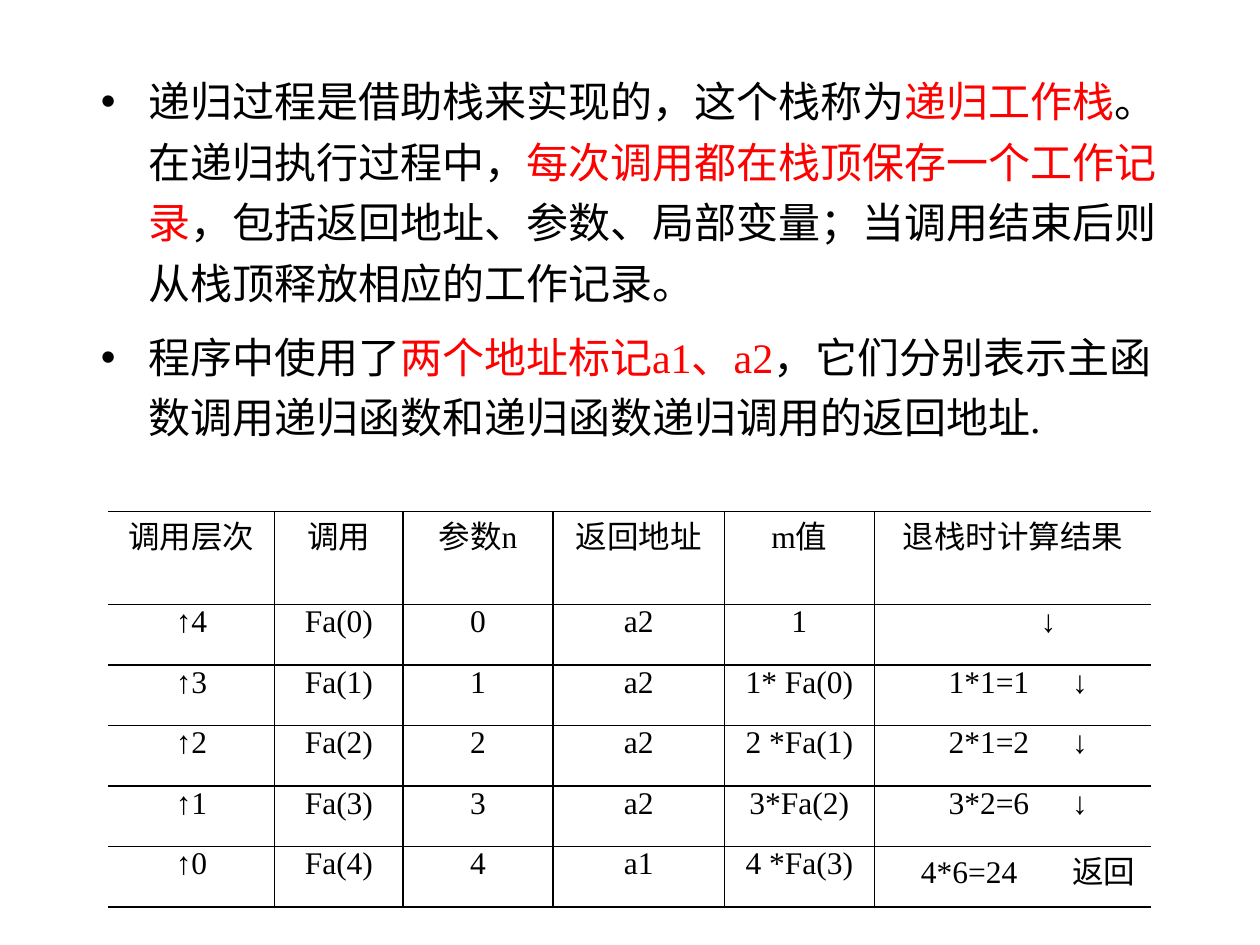
import pptx
import pptx.util
import pptx.dml.color
import pptx.enum.text
import pptx.oxml
import pptx.oxml.ns
import lxml.etree

Inches = pptx.util.Inches
Pt = pptx.util.Pt
ALIGN = pptx.enum.text.PP_ALIGN
FONT = "Times New Roman"
BLACK, RED = "000000", "FF0000"

POINTS = [
    [("递归过程是借助栈来实现的，这个栈称为", BLACK),
     ("递归工作栈", RED),
     ("。在递归执行过程中，", BLACK),
     ("每次调用都在栈顶保存一个工作记录", RED),
     ("，包括返回地址、参数、局部变量；当调用结束后则从栈顶释放相应的工作记录。", BLACK)],
    [("程序中使用了", BLACK),
     ("两个地址标记a1、a2", RED),
     ("，它们分别表示主函数调用递归函数和递归函数递归调用的返回地址.", BLACK)],
]
ROWS = [
    ["调用层次", "调用", "参数n", "返回地址", "m值", "退栈时计算结果"],
    ["↑4", "Fa(0)", "0", "a2", "1", "↓"],
    ["↑3", "Fa(1)", "1", "a2", "1* Fa(0)", "1*1=1\t↓"],
    ["↑2", "Fa(2)", "2", "a2", "2 *Fa(1)", "2*1=2\t↓"],
    ["↑1", "Fa(3)", "3", "a2", "3*Fa(2)", "3*2=6\t↓"],
    ["↑0", "Fa(4)", "4", "a1", "4 *Fa(3)", "4*6=24\t返回"],
]
WIDTHS = [1.32, 1.02, 1.19, 1.36, 1.19, 2.2]
HEIGHTS = [0.74] + [0.48] * 5
STOPS = {1: (1.25, None), 2: (0.52, 1.41), 3: (0.52, 1.41),
         4: (0.52, 1.41), 5: (0.3, 1.24)}


def paint(color, value):
    color.rgb = pptx.dml.color.RGBColor.from_string(value)


def write(para, text, size=18, color=BLACK, font=FONT):
    run = para.add_run()
    run.text = text
    run.font.size = Pt(size)
    run.font.name = font
    paint(run.font.color, color)


def indent(para, first, stop=None):
    props = para._p.get_or_add_pPr()
    props.set("marL", "0")
    props.set("indent", str(Inches(first)))
    if stop:
        tabs = lxml.etree.SubElement(props, pptx.oxml.ns.qn("a:tabLst"))
        lxml.etree.SubElement(tabs, pptx.oxml.ns.qn("a:tab"),
                              pos=str(Inches(stop)), algn="l")


def border(cell, sides):
    props = cell._tc.get_or_add_tcPr()
    for side in "LRTB":
        if side in sides:
            fill = f'<a:solidFill><a:srgbClr val="{BLACK}"/></a:solidFill>'
        else:
            fill = "<a:noFill/>"
        props.append(pptx.oxml.parse_xml(
            f'<a:ln{side} {pptx.oxml.ns.nsdecls("a")} w="{Pt(1)}">{fill}</a:ln{side}>'))


def add_list(slide, left, top, width, height):
    body = slide.placeholders[1]
    body.left, body.top = Inches(left), Inches(top)
    body.width, body.height = Inches(width), Inches(height)
    frame = body.text_frame
    frame.word_wrap = True
    frame.auto_size = pptx.enum.text.MSO_AUTO_SIZE.NONE
    for i, parts in enumerate(POINTS):
        para = frame.add_paragraph() if i else frame.paragraphs[0]
        para.line_spacing = 1.2
        para.space_before = Pt(8 if i else 0)
        for text, color in parts:
            write(para, text, size=24, color=color)


def fill_cell(cell, text, row, col):
    last = len(WIDTHS) - 1
    border(cell, "TB" + ("L" if col else "") + ("R" if col < last else ""))
    cell.fill.background()
    cell.margin_left = cell.margin_right = Inches(0.07)
    cell.margin_top = cell.margin_bottom = 0
    para = cell.text_frame.paragraphs[0]
    if col == last and row in STOPS:
        para.alignment = ALIGN.LEFT
        indent(para, *STOPS[row])
    else:
        para.alignment = ALIGN.CENTER
    write(para, text)


def add_grid(slide, left, top, width, height):
    table = slide.shapes.add_table(
        len(ROWS), len(WIDTHS), Inches(left), Inches(top),
        Inches(width), Inches(height)).table
    table.first_row = table.horz_banding = False
    for col, size in zip(table.columns, WIDTHS):
        col.width = Inches(size)
    for row, size in zip(table.rows, HEIGHTS):
        row.height = Inches(size)
    for r, texts in enumerate(ROWS):
        for c, text in enumerate(texts):
            fill_cell(table.cell(r, c), text, r, c)


def main():
    deck = pptx.Presentation()
    deck.slide_width, deck.slide_height = Inches(10), Inches(7.5)
    slide = deck.slides.add_slide(deck.slide_layouts[1])
    title = slide.shapes.title.element
    title.getparent().remove(title)
    add_list(slide, 0.7, 0.47, 8.63, 5.23)
    add_grid(slide, 0.86, 4.06, sum(WIDTHS), sum(HEIGHTS))
    deck.save("out.pptx")


if __name__ == "__main__":
    main()
